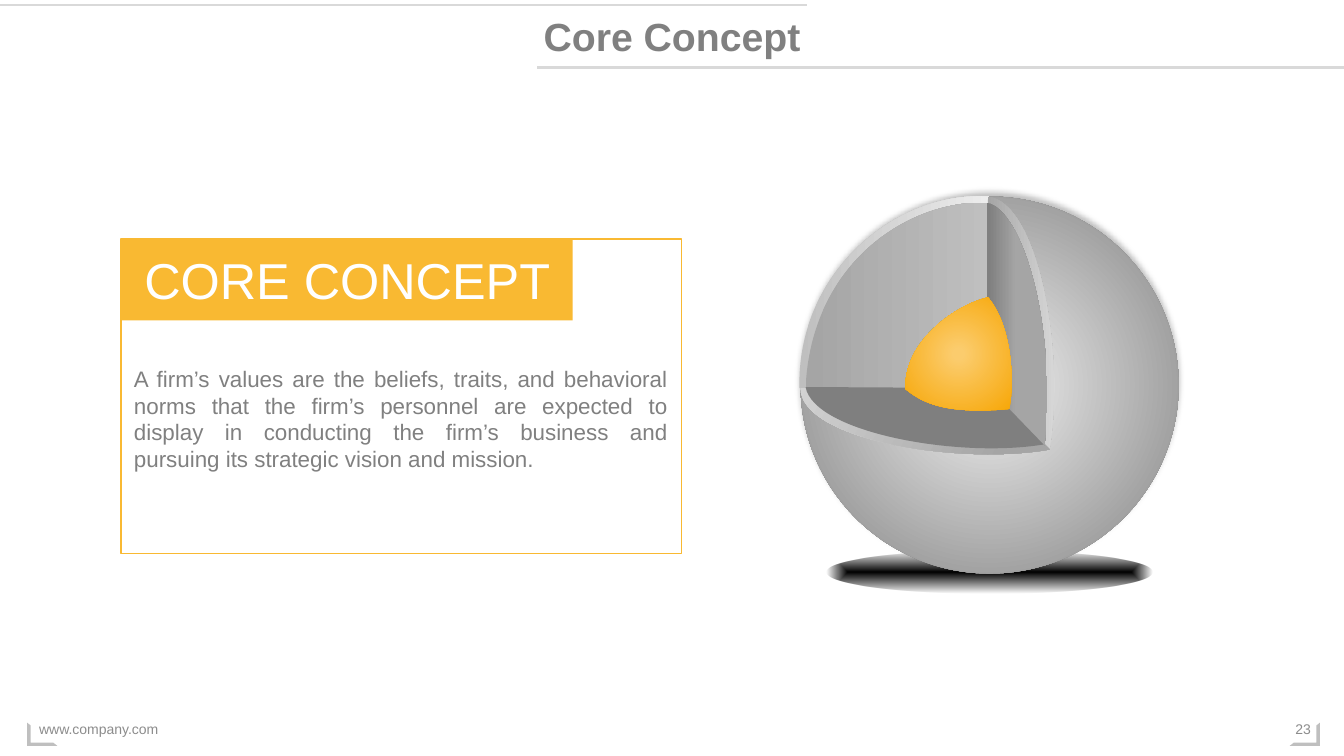
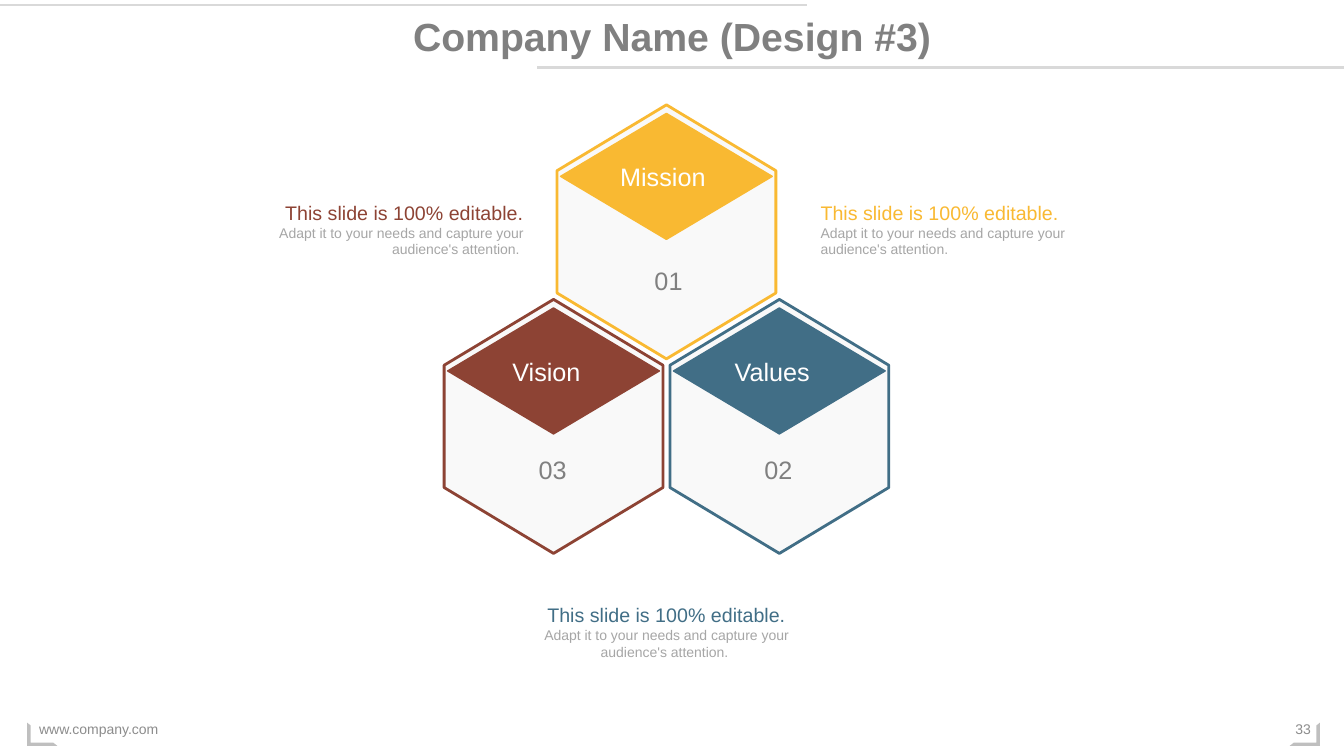
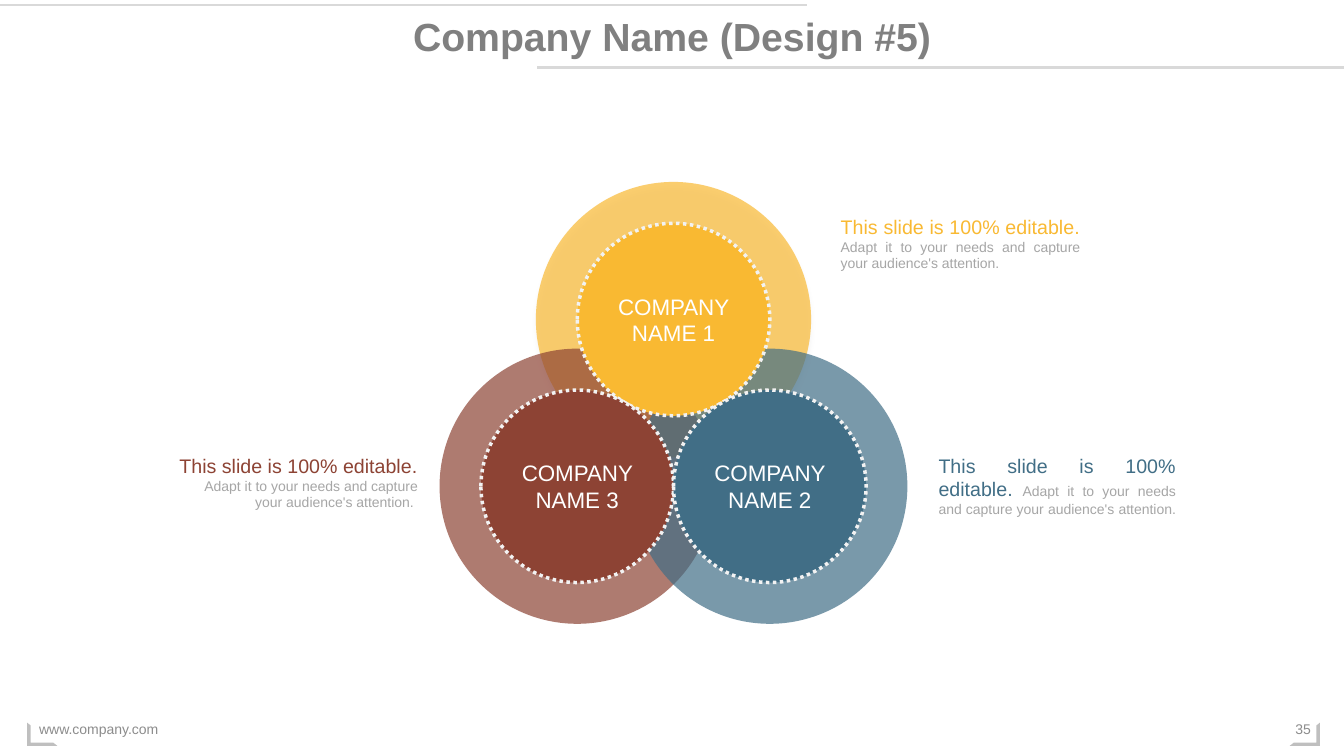
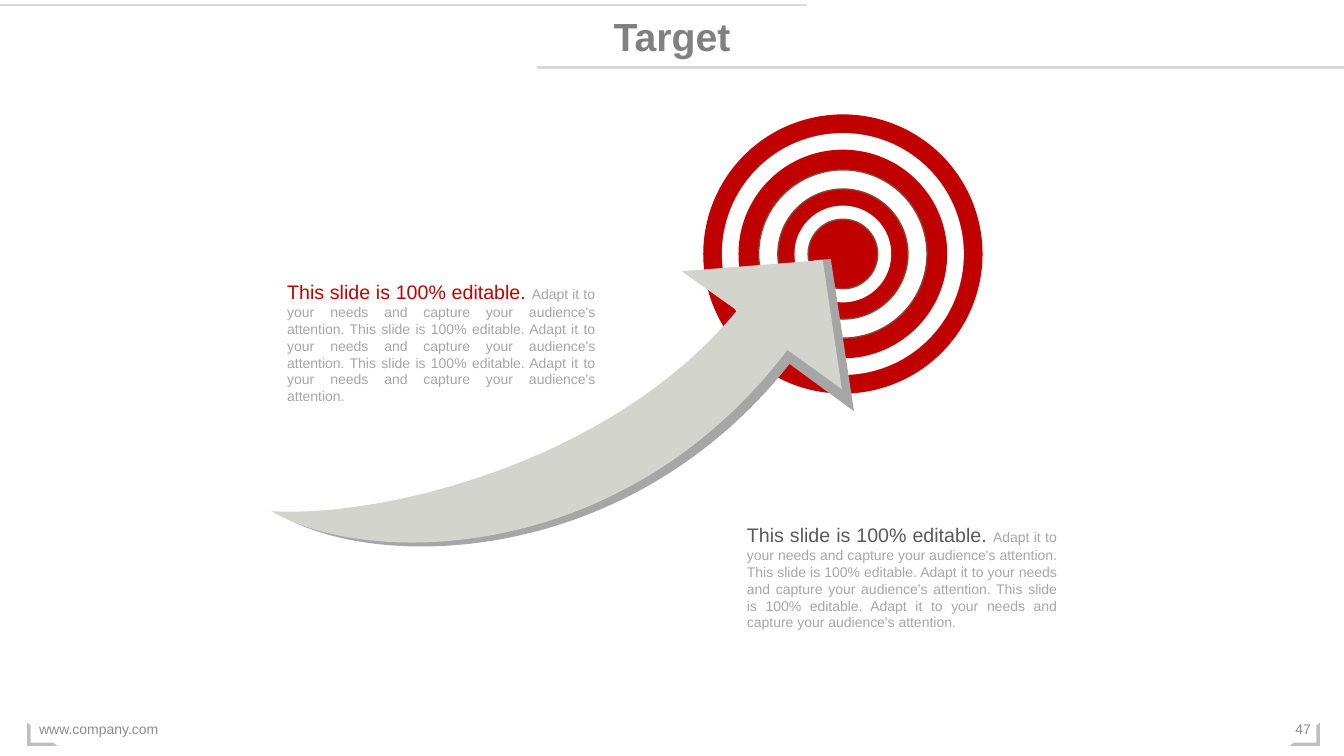
from itertools import cycle
from math import cos, radians, sin, sqrt
from lxml.etree import SubElement as Sub
from pptx import Presentation
from pptx.dml.color import RGBColor as Rgb
from pptx.enum.dml import MSO_LINE as Dash
from pptx.enum.shapes import MSO_CONNECTOR as Conn, MSO_SHAPE as Kind
from pptx.enum.text import MSO_ANCHOR as Anchor, PP_ALIGN as Align
from pptx.oxml.ns import qn
from pptx.util import Inches, Pt

HUE = {
    "black": "000000", "white": "FFFFFF", "gold": "F9B932", "blue": "416E86",
    "rust": "8D4334", "red": "C00000", "title": "808080", "foot": "8C8C8C",
    "rule": "D9D9D9", "mark": "BFBFBF", "body": "A6A6A6", "dark": "595959",
    "floor": "7F7F7F", "pale": "F9F9F9", "dots": "F2F2F2", "arrow": "D3D4CE",
    "shine": "EDEDED", "edge": "DBDBDB", "rim": "D6D6D6", "wall": "A5A5A5",
    "glow": "FBCC6D", "amber": "F7A707",
}
FONT = "Arial"
HEAD = "This slide is 100% editable. "
BODY = "Adapt it to your needs and capture your audience's attention. "


# Helpers for format
def rgb(name):
    return Rgb.from_string(HUE[name])


def apply(obj, form):
    for key, val in form.items():
        setattr(obj, key, val)


def box(*dims):
    return [Inches(d) for d in dims]


def mid(x, y, wide, high):
    return x - wide / 2, y - high / 2, wide, high


def tint(node, name, alpha=100):
    clr = Sub(node, qn("a:srgbClr"), val=HUE[name])
    if alpha < 100:
        Sub(clr, qn("a:alpha"), val=str(alpha * 1000))


def blend(shape, stops, path=None):
    """Gradient of (position, colour, alpha) stops, left to right or by path."""
    shape.fill.gradient()
    grad = shape.fill._xPr.find(qn("a:gradFill"))
    grad.clear()
    grad.set("rotWithShape", "1")
    items = Sub(grad, qn("a:gsLst"))
    for pos, *color in stops:
        tint(Sub(items, qn("a:gs"), pos=str(pos * 1000)), *color)
    if path:
        node = Sub(grad, qn("a:path"), {"path": path})
        Sub(node, qn("a:fillToRect"), {side: "50000" for side in "ltrb"})
    else:
        Sub(grad, qn("a:lin"), ang="0", scaled="0")


def shade(shape, alpha, blur, dist, angle):
    effect = shape._element.spPr.find(qn("a:effectLst"))
    node = Sub(effect, qn("a:outerShdw"), blurRad=str(Pt(blur)), dist=str(Pt(dist)),
               dir=str(angle * 60000), algn="ctr", rotWithShape="0")
    tint(node, "black", alpha)


def paint(shape, fill=None, line=None, width=1, alpha=100):
    shape.shadow.inherit = False
    if fill:
        shape.fill.solid()
        shape.fill.fore_color.rgb = rgb(fill)
        if alpha < 100:
            clr = shape._element.spPr.find(".//" + qn("a:srgbClr"))
            Sub(clr, qn("a:alpha"), val=str(alpha * 1000))
    else:
        shape.fill.background()
    if line:
        shape.line.color.rgb = rgb(line)
        shape.line.width = Pt(width)
    else:
        shape.line.fill.background()


# Kinds of element
def write(shape, runs, align=Align.LEFT, anchor=Anchor.TOP, **insets):
    """Fill a shape with one paragraph of (text, size, colour) runs."""
    frame = shape.text_frame
    apply(frame, {"word_wrap": True, "vertical_anchor": anchor})
    apply(frame, {"margin_" + side: Inches(val) for side, val in insets.items()})
    para = frame.paragraphs[0]
    para.alignment = align
    for text, size, color in runs:
        run = para.add_run()
        run.text = text
        apply(run.font, {"name": FONT, "size": Pt(size)})
        run.font.color.rgb = rgb(color)
    return para


def label(slide, dims, runs, align=Align.LEFT, anchor=Anchor.TOP):
    return write(slide.shapes.add_textbox(*box(*dims)), runs, align, anchor)


def note(slide, dims, color, align, body=BODY):
    label(slide, dims, [(HEAD, 14, color), (body, 10, "body")], align)


def form(slide, kind, dims, fill=None, adjust=(), turn=0, **look):
    shape = slide.shapes.add_shape(kind, *box(*dims))
    for i, val in enumerate(adjust):
        shape.adjustments[i] = val
    shape.rotation = turn
    paint(shape, fill, **look)
    return shape


def rule(slide, start, end, y):
    line = slide.shapes.add_connector(Conn.STRAIGHT, *box(start, y, end, y))
    line.line.color.rgb = rgb("rule")
    line.line.width = Pt(1.5)
    Sub(line._element.spPr, qn("a:effectLst"))


# Outlines with curves
def spin(x, y, turn):
    c, s = cos(radians(turn)), sin(radians(turn))
    return x * c - y * s, x * s + y * c


def curve(pts, steps=40):
    for i in range(steps + 1):
        t = i / steps
        u = 1 - t
        k = u ** 3, 3 * u * u * t, 3 * u * t * t, t ** 3
        yield tuple(sum(m * pt[axis] for m, pt in zip(k, pts)) for axis in (0, 1))


def trace(slide, fill, parts, turn=0):
    """Closed outline: pairs are corners, sextets are curves."""
    parts = [[spin(*part[i:i + 2], -turn) for i in range(0, len(part), 2)] for part in parts]
    ends = [part[-1] for part in parts]
    reach = list(ends)
    for last, part in zip(ends, parts[1:]):
        if len(part) == 3:
            reach += curve([last, *part])
    xs, ys = zip(*reach)
    left, top, wide, high = min(xs), min(ys), max(xs) - min(xs), max(ys) - min(ys)

    first, *rest = [tuple(box(*pt)) for pt in ends]
    pen = slide.shapes.build_freeform(*first, scale=1.0)
    pen.add_line_segments(rest, close=True)
    shape = pen.convert_to_shape()
    paint(shape, fill)

    # Fit the frame to the curves and put them in the outline
    x, y = spin(left + wide / 2, top + high / 2, turn)
    dims = box(*mid(x, y, wide, high))
    apply(shape, dict(zip(("left", "top", "width", "height"), dims)))
    shape.rotation = turn
    node = shape._element.spPr.find(".//" + qn("a:path"))
    node.clear()
    node.set("w", str(dims[2]))
    node.set("h", str(dims[3]))
    for i, part in enumerate(parts):
        tag = "a:moveTo" if i == 0 else "a:cubicBezTo" if len(part) == 3 else "a:lnTo"
        step = Sub(node, qn(tag))
        for px, py in part:
            Sub(step, qn("a:pt"), x=str(Inches(px - left)), y=str(Inches(py - top)))
    Sub(node, qn("a:close"))
    return shape


def start(deck, title, page):
    """New slide with rules, corner marks, footer and title."""
    slide = deck.slides.add_slide(deck.slide_layouts[6])
    rule(slide, 0, 8, 0.05)
    rule(slide, 5.33, 13.33, 0.67)
    for x, flip in ((12.79, "0"), (0.27, "1")):
        mark = form(slide, Kind.HALF_FRAME, (x, 7.17, 0.3, 0.23), "mark", (0.139, 0.148), 180)
        mark._element.spPr.xfrm.set("flipH", flip)
    label(slide, (0.29, 7.03, 4.5, 0.4), [("www.company.com", 10, "foot")], anchor=Anchor.MIDDLE)
    label(slide, (12.68, 7.03, 0.42, 0.4), [(str(page), 10, "foot")], Align.RIGHT, Anchor.MIDDLE)
    para = label(slide, (0, 0.07, 13.33, 0.57), [(title, 28, "title")], Align.CENTER)
    para.runs[0].font.bold = True
    return slide


# Slides
def core(deck):
    slide = start(deck, "Core Concept", 23)
    # Ball on its ground shadow
    ground = form(slide, Kind.OVAL, (8.2, 5.46, 3.23, 0.43))
    blend(ground, [(0, "black"), (100, "black", 0)], "shape")
    ball = form(slide, Kind.OVAL, (7.94, 1.95, 3.75, 3.74))
    blend(ball, [(0, "dots"), (100, "title")], "circle")
    shade(ball, 25, 4, 3, 270)
    # Cut faces: rims first, then walls, floor and core
    tilt = 29.8
    faces = [
        ([(0, "mark"), (100, "shine")], None, 0,
         [(9.8, 3.85), (9.79, 3.49, 9.8, 2.16, 9.81, 1.95),
          (8.88, 1.89, 7.9, 2.71, 7.93, 3.85), (8.16, 3.86, 9.36, 3.86, 9.8, 3.85)]),
        ([(2, "body"), (100, "rim")], None, 0,
         [(9.79, 3.86), (9.79, 3.5, 9.79, 2.22, 9.8, 1.95),
          (10.28, 2, 10.57, 3.43, 10.41, 4.46), (9.79, 3.86)]),
        ([(2, "edge"), (75, "wall")], None, tilt,
         [(10.41, 4.46), (9.8, 3.85), (7.94, 3.85), (7.94, 4.36, 9.5, 4.62, 10.41, 4.46)]),
        ([(2, "wall"), (100, "mark")], None, 0,
         [(9.8, 3.85), (9.8, 3.46, 9.8, 2.18, 9.8, 2.01),
          (9, 1.98, 8.04, 2.62, 7.99, 3.85), (8.22, 3.86, 9.37, 3.85, 9.8, 3.85)]),
        ([(2, "floor"), (49, "wall")], None, 0,
         [(9.8, 3.86), (9.79, 3.5, 9.79, 2.25, 9.79, 2.01),
          (10.15, 2.1, 10.48, 3.23, 10.36, 4.42), (10.14, 4.21, 9.88, 3.93, 9.8, 3.86)]),
        (None, None, tilt,
         [(10.35, 4.41), (9.81, 3.85), (7.99, 3.84), (8.07, 4.29, 9.5, 4.55, 10.35, 4.41)]),
        ([(7, "glow"), (100, "amber")], "circle", 0,
         [(10.01, 4.06), (10.05, 3.88, 10.07, 3.28, 9.8, 2.95),
          (9.49, 3.02, 8.96, 3.38, 8.98, 3.86), (9.16, 4.01, 9.4, 4.11, 10.01, 4.06)]),
    ]
    for stops, path, turn, parts in faces:
        face = trace(slide, "floor", parts, turn)
        if stops:
            blend(face, stops, path)
    # Text panel
    form(slide, Kind.RECTANGLE, (1.2, 2.37, 5.56, 3.12), line="gold")
    band = form(slide, Kind.RECTANGLE, (1.21, 2.37, 4.47, 0.81), "gold")
    write(band, [("CORE CONCEPT", 36, "white")], Align.CENTER, Anchor.MIDDLE)
    text = ("A firm’s values are the beliefs, traits, and behavioral norms that the firm’s "
            "personnel are expected to display in conducting the firm’s business and "
            "pursuing its strategic vision and mission. ")
    label(slide, (1.23, 3.57, 5.49, 1.18), [(text, 16, "title")], Align.JUSTIFY)


def hexes(deck):
    slide = start(deck, "Company Name (Design #3)", 33)
    # Cells: name, number, colour, column, row, number place, label inset
    cells = [
        ("Mission", "01", "gold", 0, 0, (6.63, 2.78), 0.07),
        ("Values", "02", "blue", 1, 1, (7.72, 4.66), 0.14),
        ("Vision", "03", "rust", -1, 1, (5.48, 4.66), 0.14),
    ]
    for name, num, color, col, row, place, inset in cells:
        x, y = 6.61 + col * 1.12, 2.3 + row * 1.93
        form(slide, Kind.HEXAGON, mid(x, y, 2.52, 2.17), "pale", (0.301, 1.155), 90,
             line=color, width=2)
        gem = form(slide, Kind.DIAMOND, mid(x, y - 0.55, 2.1, 1.25), color, line=color)
        write(gem, [(name, 18, "white")], Align.CENTER, Anchor.MIDDLE,
              left=0, right=inset, top=0, bottom=0)
        label(slide, mid(*place, 0.79, 0.4), [(num, 18, "title")], Align.CENTER)
    # Notes
    for x, y, color, align in ((8.04, 1.94, "gold", Align.LEFT),
                               (5.13, 5.93, "blue", Align.CENTER),
                               (2.33, 1.94, "rust", Align.RIGHT)):
        note(slide, (x, y, 2.96, 0.67), color, align)


def rings(deck):
    slide = start(deck, "Company Name (Design #5)", 35)
    # Notes
    for x, y, wide, color, align in ((1.66, 4.45, 2.58, "rust", Align.RIGHT),
                                     (9.21, 4.45, 2.55, "blue", Align.JUSTIFY),
                                     (8.24, 2.08, 2.57, "gold", Align.JUSTIFY)):
        note(slide, (x, y, wide, 0.67), color, align)
    # Circles on an even triangle
    size, peak = 1.91, 3.17
    low = peak + size * sqrt(3) / 2
    discs = [(1, "gold", 6.68, peak), (3, "rust", 6.68 - size / 2, low),
             (2, "blue", 6.68 + size / 2, low)]
    for num, color, x, y in discs:
        halo = form(slide, Kind.OVAL, mid(x, y, 2.73, 2.73), color, alpha=70)
        if num == 1:
            shade(halo, 6, 4, 4, 90)
    for num, color, x, y in discs:
        disc = form(slide, Kind.OVAL, mid(x, y, size, size), color, line="dots", width=2.5)
        disc.line.dash_style = Dash.ROUND_DOT
        write(disc, [(f"COMPANY NAME {num}", 16, "white")], Align.CENTER, Anchor.MIDDLE,
              left=0, right=0, top=0, bottom=0)


def target(deck):
    slide = start(deck, "Target", 47)
    # Rings from the outside in
    sizes = (2.77, 2.4, 2.07, 1.67, 1.29, 0.96, 0.69)
    lined = (1.67, 1.29, 0.69)
    for size, color in zip(sizes, cycle(("red", "white"))):
        form(slide, Kind.OVAL, mid(8.36, 2.52, size, size), color,
             line="rust" if size in lined else None)
    # Arrow over its dark side
    tilt = 215.7
    trace(slide, "body", [
        (8.24, 2.57), (8.47, 4.08), (7.83, 3.61), (7.75, 3.71),
        (6.12, 5.66, 3.69, 5.65, 2.78, 5.11), (3.83, 5.18, 6.14, 4.65, 7.41, 3.12),
        (6.86, 2.73), (8.07, 2.62), (8.07, 2.58), (8.24, 2.57)], tilt)
    trace(slide, "arrow", [
        (8.35, 3.86), (7.81, 3.47), (6.18, 5.62, 3.63, 5.63, 2.69, 5.07),
        (3.73, 5.14, 6.04, 4.62, 7.31, 3.08), (6.76, 2.69), (8.16, 2.58),
        (8.35, 3.86)], tilt)
    # Notes
    body = BODY + (HEAD + BODY) * 2
    note(slide, (7.31, 5.14, 3.27, 1.18), "dark", Align.JUSTIFY, body)
    note(slide, (2.75, 2.73, 3.25, 1.18), "red", Align.JUSTIFY, body)


def main():
    deck = Presentation()
    apply(deck, {"slide_width": Inches(13.33), "slide_height": Inches(7.5)})
    for build in (core, hexes, rings, target):
        build(deck)
    deck.save("out.pptx")


if __name__ == "__main__":
    main()
